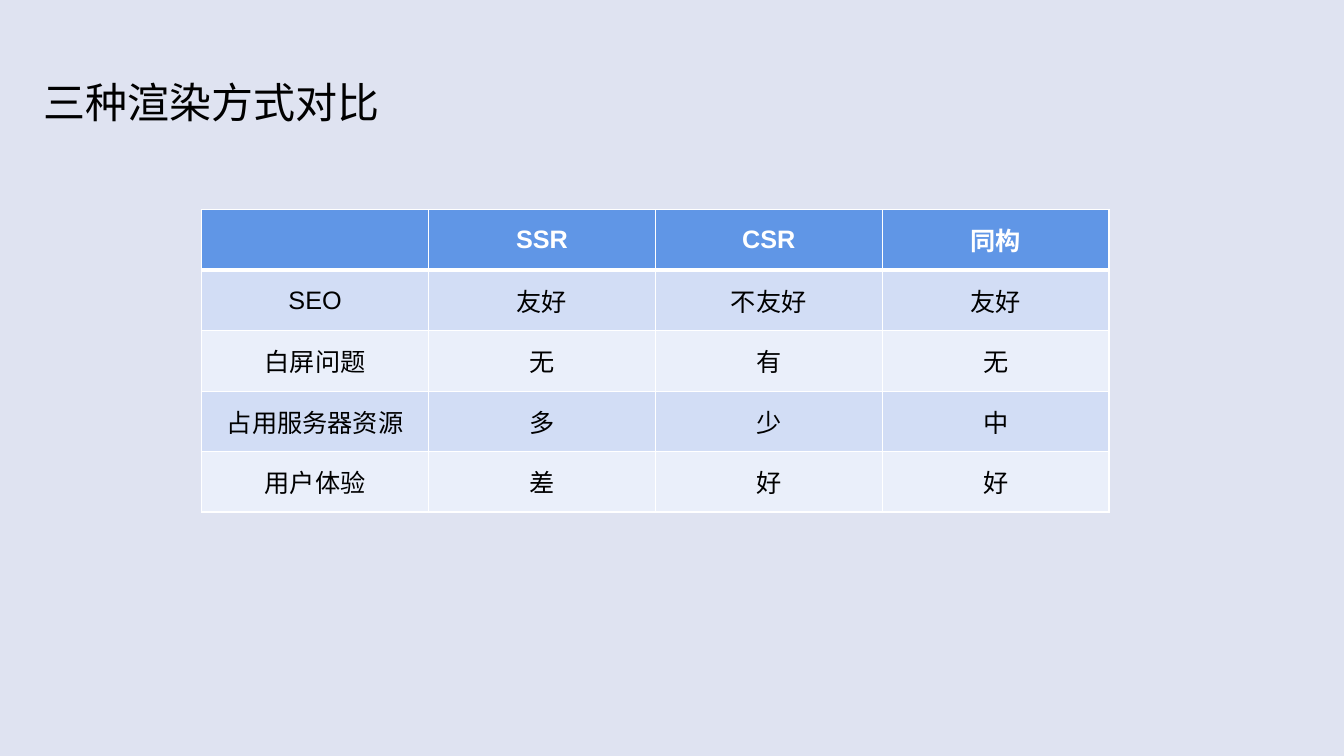
from lxml import etree
from pptx import Presentation, util as u
from pptx.dml.color import RGBColor
from pptx.enum import text
from pptx.oxml.ns import qn

HUES = {"back": "DFE3F1", "head": "6096E6", "odd": "D2DDF5",
        "even": "EAEFFA", "ink": "000000", "white": "FFFFFF"}
ROWS = [
    ["", "SSR", "CSR", "同构"],
    ["SEO", "友好", "不友好", "友好"],
    ["白屏问题", "无", "有", "无"],
    ["占用服务器资源", "多", "少", "中"],
    ["用户体验", "差", "好", "好"],
]
COL, ROW = u.Inches(2.25), u.Inches(0.6)


def write(frame, words, size=18, hue="ink", bold=False, align=text.PP_ALIGN.CENTER):
    para = frame.paragraphs[0]
    para.alignment = align
    para.font.size = u.Pt(size)
    if words:
        run = para.add_run()
        run.text = words
        run.font.name = "Arial"
        run.font.size = u.Pt(size)
        run.font.bold = bold
        run.font.color.rgb = RGBColor.from_string(HUES[hue])


def edge(cell, side, width):
    """Draw one white border of a cell."""
    line = etree.SubElement(cell._tc.get_or_add_tcPr(), qn("a:ln" + side), w=str(u.Pt(width)))
    fill = etree.SubElement(line, qn("a:solidFill"))
    etree.SubElement(fill, qn("a:srgbClr"), val=HUES["white"])


deck = Presentation()
deck.slide_width, deck.slide_height = u.Inches(13.33), u.Inches(7.5)
slide = deck.slides.add_slide(deck.slide_layouts[5])
slide.background.fill.solid()
slide.background.fill.fore_color.rgb = RGBColor.from_string(HUES["back"])

title = slide.shapes.title
title.left, title.top = u.Inches(0.33), u.Inches(0.71)
title.width, title.height = u.Inches(9.75), u.Inches(0.6)
title.text_frame.auto_size = text.MSO_AUTO_SIZE.NONE
title.text_frame.vertical_anchor = text.MSO_ANCHOR.MIDDLE
write(title.text_frame, "三种渲染方式对比", size=30, align=text.PP_ALIGN.LEFT)

grid = slide.shapes.add_table(len(ROWS), len(ROWS[0]), u.Inches(2), u.Inches(2.08),
                              COL * len(ROWS[0]), ROW * len(ROWS)).table
for col in grid.columns:
    col.width = COL
for r, row in enumerate(ROWS):
    grid.rows[r].height = ROW
    head = r == 0
    tone = "head" if head else "odd" if r % 2 else "even"
    for c, words in enumerate(row):
        cell = grid.cell(r, c)
        for side, width in zip("LRTB", (1, 1, 3 if r == 1 else 1, 3 if head else 1)):
            edge(cell, side, width)
        cell.fill.solid()
        cell.fill.fore_color.rgb = RGBColor.from_string(HUES[tone])
        cell.vertical_anchor = text.MSO_ANCHOR.MIDDLE
        write(cell.text_frame, words, hue="white" if head else "ink", bold=head)

deck.save("out.pptx")
